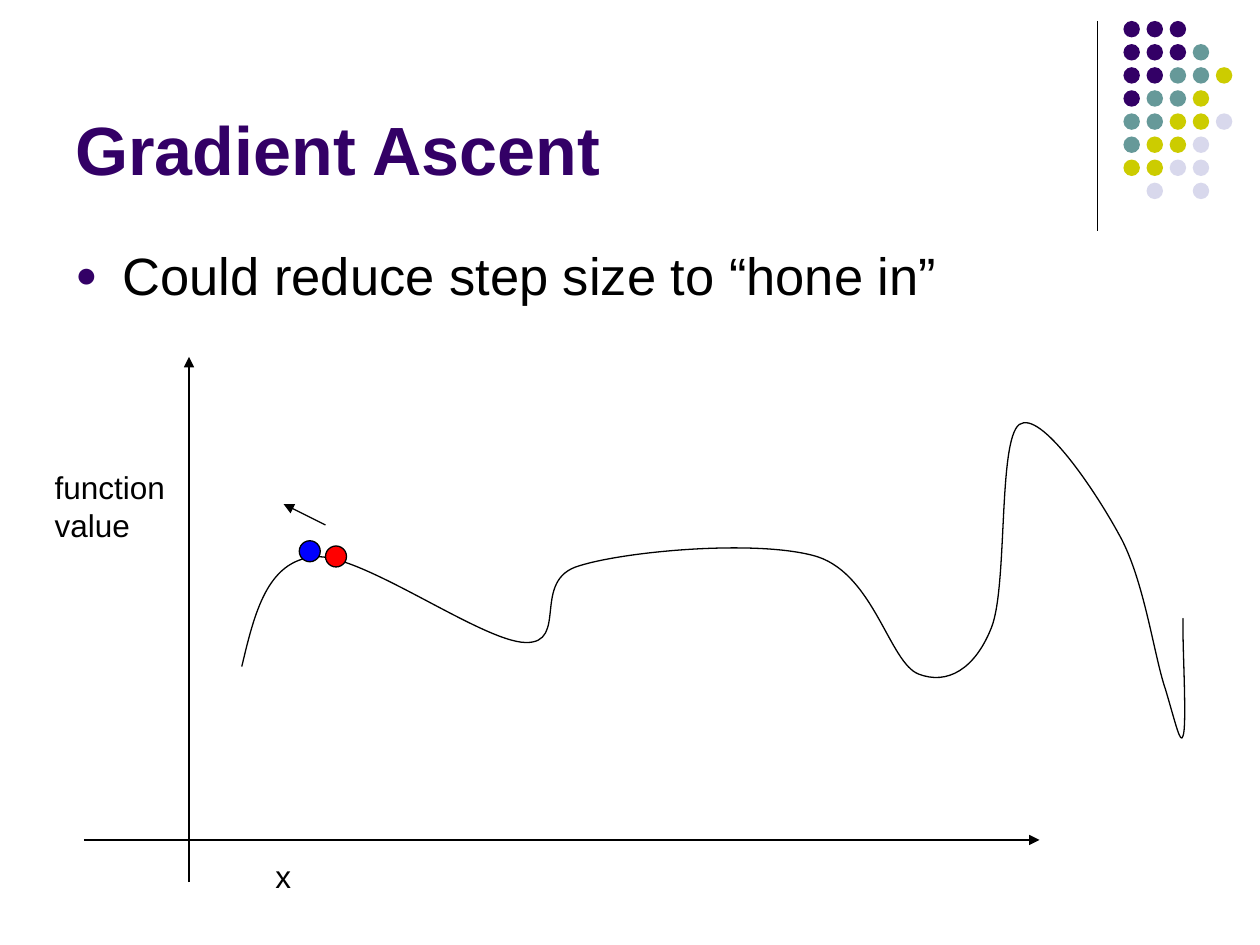
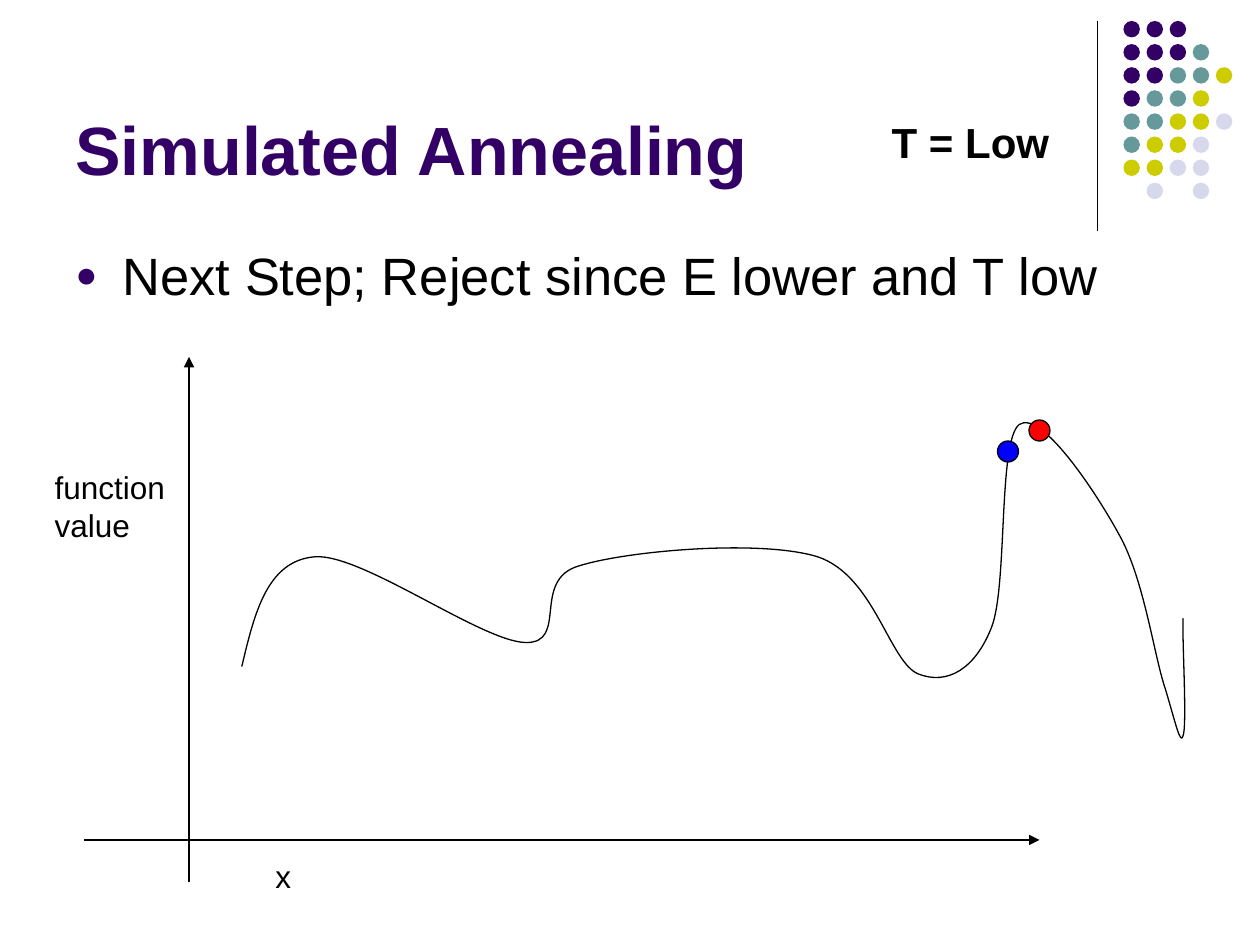
from itertools import chain
from lxml.etree import SubElement
from pptx import Presentation
from pptx.dml.color import RGBColor
from pptx.enum.shapes import MSO_CONNECTOR as CONNECTOR, MSO_SHAPE as SHAPE
from pptx.enum.text import MSO_ANCHOR as ANCHOR
from pptx.oxml.ns import qn
from pptx.util import Pt

# Shared look
rgb = RGBColor.from_string
FONT = "Arial"
BLACK, PURPLE, TEAL, OLIVE, LILAC = "000000", "330066", "669999", "CCCC00", "D8D8EC"
RED, BLUE = "FF0000", "0000FF"
THIN = 0.75

# Corner ornament: one letter per dot, a space where there is none
DOT_ROWS = ["PPP", "PPPT", "PPTTO", "PTTO", "TTOOL", "TOOL", "OOLL", " L L"]
DOT_COLOURS = {"P": PURPLE, "T": TEAL, "O": OLIVE, "L": LILAC}
DOT_LEFT, DOT_TOP, DOT_PITCH, DOT_SIZE = 642, 12, 13.2, 9.4
MARKER_SIZE = 12

# Function curve: start point, then two control points and an end point per piece
CURVE_START = (138.2, 380.9)
CURVE_PIECES = [
    ((145.4, 350.6), (152.6, 320.4), (180, 318.2)),
    ((206.6, 316.1), (275, 366.5), (300.2, 367.2)),
    ((325.4, 367.9), (303.1, 331.2), (331.2, 323.3)),
    ((359.3, 314.6), (434.9, 308.2), (467.3, 318.2)),
    ((499.7, 329), (508.3, 378.7), (524.9, 385.2)),
    ((541.4, 391.7), (557.3, 382.3), (566.6, 358.6)),
    ((576, 334.8), (570.2, 252), (582.5, 242.6)),
    ((594.7, 234), (625.7, 280.1), (639.4, 305.3)),
    ((653.8, 330.5), (659.5, 375.1), (666, 393.8)),
    ((671.8, 413.3), (674.6, 426.2), (676.1, 420.5)),
    ((678.2, 415.4), (676.1, 374.4), (676.1, 362.9)),
    ((676.1, 352.1), (676.1, 352.8), (676.1, 354.2)),
]
UNITS = 100  # curve units per point

# What differs between the slides
SLIDES = [
    {"title": "Gradient Ascent",
     "point": "Could reduce step size to “hone in”",
     "temperature": None,
     "step_arrow": (186, 300, 162, 288),
     "markers": [(171, 309, BLUE), (186, 312, RED)]},
    {"title": "Simulated Annealing",
     "point": "Next Step; Reject since E lower and T low",
     "temperature": "T = Low",
     "step_arrow": None,
     "markers": [(588, 240, RED), (570, 252, BLUE)]},
]


def add_text(slide, lines, box, size, colour=BLACK, bold=False, wrap=False):
    frame = slide.shapes.add_textbox(*map(Pt, box)).text_frame
    frame.word_wrap = wrap
    frame.text = lines
    for paragraph in frame.paragraphs:
        font = paragraph.font
        font.name, font.size, font.bold = FONT, Pt(size), bold
        font.color.rgb = rgb(colour)
    return frame


def add_line(slide, ends, arrow=True):
    line = slide.shapes.add_connector(CONNECTOR.STRAIGHT, *map(Pt, ends))
    line.line.color.rgb = rgb(BLACK)
    line.line.width = Pt(THIN)
    properties = line._element.spPr
    if arrow:
        SubElement(properties.find(qn("a:ln")), qn("a:tailEnd"), type="triangle")
    SubElement(properties, qn("a:effectLst"))


deck = Presentation()
deck.slide_width, deck.slide_height = Pt(720), Pt(540)

for content in SLIDES:
    slide = deck.slides.add_slide(deck.slide_layouts[6])

    # Title and the rule beside it
    add_line(slide, (627, 12, 627, 132), arrow=False)
    title = add_text(slide, content["title"], (36, 9.4, 594, 102), 39, PURPLE, True, True)
    title.vertical_anchor = ANCHOR.BOTTOM

    # Bulleted point
    body = add_text(slide, content["point"], (36, 135.5, 648, 347), 30, wrap=True)
    point = body.paragraphs[0]
    point.space_before = Pt(7.5)
    bullet = point._p.get_or_add_pPr()
    bullet.set("marL", str(Pt(27)))
    bullet.set("indent", str(Pt(-27)))
    SubElement(SubElement(bullet, qn("a:buClr")), qn("a:srgbClr"), val=PURPLE)
    SubElement(bullet, qn("a:buSzPct"), val="70000")
    SubElement(bullet, qn("a:buFont"), typeface=FONT)
    SubElement(bullet, qn("a:buChar"), char="●")
    # Schema order: the bullet settings come before the default run properties
    bullet.append(bullet.find(qn("a:defRPr")))

    # Function curve: every three segments become one Bézier piece
    builder = slide.shapes.build_freeform(
        *(UNITS * value for value in CURVE_START), scale=Pt(1) / UNITS)
    builder.add_line_segments(
        [(UNITS * x, UNITS * y) for x, y in chain(*CURVE_PIECES)], close=False)
    curve = builder.convert_to_shape()
    segments = list(curve._element.iter(qn("a:lnTo")))
    outline = segments[0].getparent()
    for first in range(0, len(segments), 3):
        piece = SubElement(outline, qn("a:cubicBezTo"))
        for segment in segments[first:first + 3]:
            piece.append(segment[0])
            outline.remove(segment)
    curve.shadow.inherit = False
    curve.fill.background()
    curve.line.color.rgb = rgb(BLACK)
    curve.line.width = Pt(THIN)

    # Axes and their labels
    add_line(slide, (48, 480, 594, 480))
    add_line(slide, (108, 504, 108, 204))
    add_text(slide, "x", (150.2, 486, 23, 29), 18)
    add_text(slide, "function\nvalue", (24.2, 264, 80, 50.5), 18)

    # Temperature and direction of the step
    if content["temperature"]:
        add_text(slide, content["temperature"], (502.5, 63, 105, 36), 24, bold=True)
    if content["step_arrow"]:
        add_line(slide, content["step_arrow"])

    # Ornament dots, then the outlined markers on the curve
    dots = [(DOT_LEFT + column * DOT_PITCH, DOT_TOP + row * DOT_PITCH,
             DOT_SIZE, DOT_COLOURS[letter], False)
            for row, letters in enumerate(DOT_ROWS)
            for column, letter in enumerate(letters) if letter != " "]
    dots += [(x, y, MARKER_SIZE, colour, True) for x, y, colour in content["markers"]]
    for x, y, size, colour, outlined in dots:
        dot = slide.shapes.add_shape(SHAPE.OVAL, Pt(x), Pt(y), Pt(size), Pt(size))
        dot.shadow.inherit = False
        dot.fill.solid()
        dot.fill.fore_color.rgb = rgb(colour)
        if outlined:
            dot.line.color.rgb = rgb(BLACK)
            dot.line.width = Pt(THIN)
        else:
            dot.line.fill.background()

deck.save("out.pptx")
